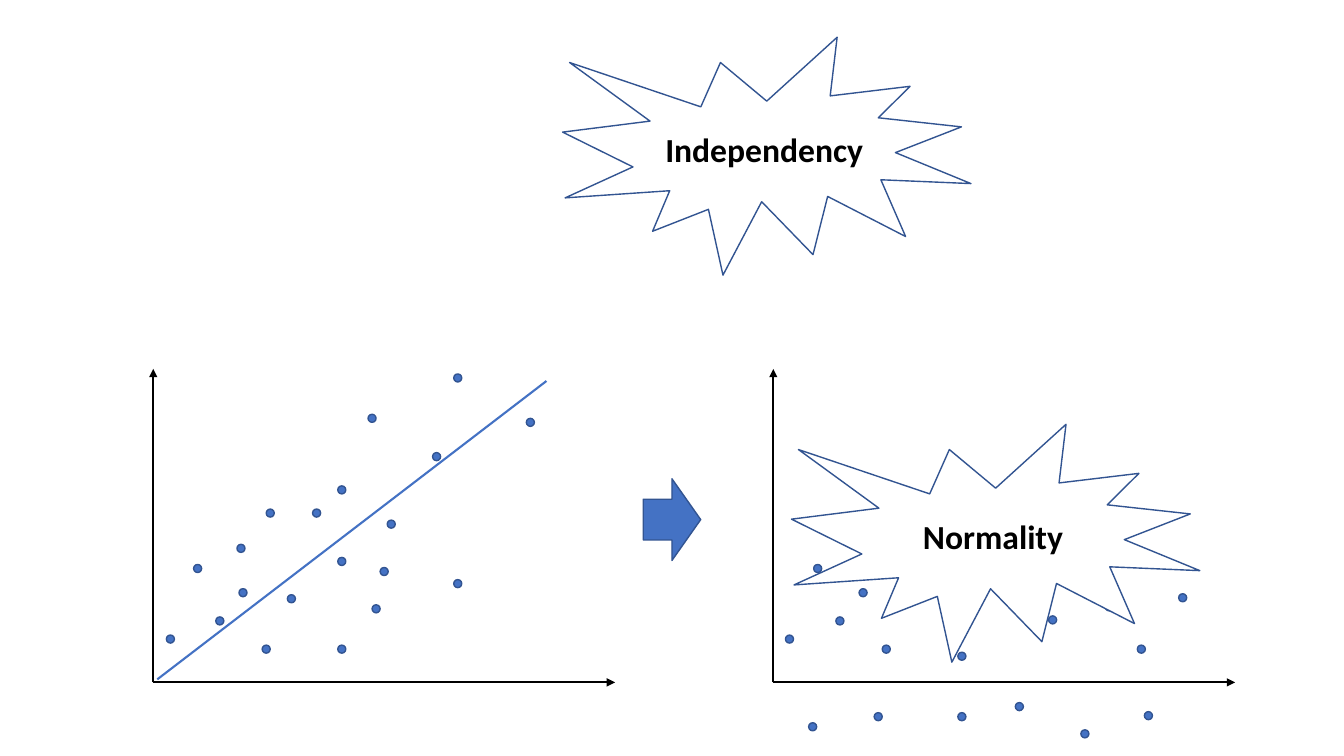
from dataclasses import dataclass

from lxml import etree
from pptx import Presentation
from pptx.dml.color import RGBColor
from pptx.enum import shapes, text
from pptx.oxml import ns
from pptx.util import Inches, Pt


@dataclass(frozen=True)
class Theme:
    blue: str = "4472C4"
    outline: str = "325491"
    black: str = "000000"
    white: str = "FFFFFF"
    font: str = "Calibri"
    label_size: int = 24
    line_width: float = 1.5
    outline_width: float = 1


THEME = Theme()
SHAPE = shapes.MSO_SHAPE
DOT_SIZE = 0.08
AXIS_WIDTH, AXIS_HEIGHT = 4.58, 3.11
AXIS_BASE = 6.77

# Left and top of each dot, in inches
SCATTER_DOTS = [
    (4.5, 3.71), (5.22, 4.15), (3.65, 4.11), (2.37, 5.84), (2.64, 5.05),
    (2.35, 5.4), (2.14, 6.12), (3.35, 5.53), (2.85, 5.9), (3.69, 6),
    (3.1, 5.05), (3.35, 6.4), (3.77, 5.63), (2.6, 6.4), (1.92, 5.6),
    (3.84, 5.16), (3.35, 4.82), (4.5, 5.75), (1.65, 6.3), (4.29, 4.49),
]
RESIDUAL_DOTS = [
    (10.03, 5.6), (11.35, 7.06), (9.5, 6.47), (8.52, 5.84), (8.79, 5.05),
    (8.67, 7.07), (8.29, 6.12), (9.5, 5.53), (9, 5.9), (10.4, 6.11),
    (11.28, 6.4), (9.5, 7.07), (10.07, 6.97), (8.75, 6.4), (8.07, 5.6),
    (10.96, 5.98), (8.02, 7.17), (10.72, 7.24), (7.79, 6.3), (11.69, 5.89),
]


def rgb(color):
    return RGBColor.from_string(color)


def add_line(s, start, end, color, arrow=False):
    line = s.shapes.add_connector(
        shapes.MSO_CONNECTOR.STRAIGHT, *map(Inches, (*start, *end)))
    line.line.color.rgb = rgb(color)
    line.line.width = Pt(THEME.line_width)
    if arrow:
        etree.SubElement(line.line._get_or_add_ln(), ns.qn("a:tailEnd"),
                         type="triangle")
    etree.SubElement(line._element.spPr, ns.qn("a:effectLst"))


def add_outlined(s, kind, left, top, width, height, fill=THEME.blue):
    sp = s.shapes.add_shape(kind, *map(Inches, (left, top, width, height)))
    sp.shadow.inherit = False
    sp.fill.solid()
    sp.fill.fore_color.rgb = rgb(fill)
    sp.line.color.rgb = rgb(THEME.outline)
    sp.line.width = Pt(THEME.outline_width)
    return sp


def write_text(sp, words, *, size, color, bold=False,
               align=text.PP_ALIGN.CENTER, anchor=text.MSO_ANCHOR.MIDDLE):
    tf = sp.text_frame
    tf.word_wrap = True
    tf.vertical_anchor = anchor
    p = tf.paragraphs[0]
    p.alignment = align
    r = p.add_run()
    r.text = words
    r.font.name = THEME.font
    r.font.size = Pt(size)
    r.font.bold = bold
    r.font.color.rgb = rgb(color)


def add_axes(s, left):
    origin = (left, AXIS_BASE)
    for end in ((left + AXIS_WIDTH, AXIS_BASE),
                (left, AXIS_BASE - AXIS_HEIGHT)):
        add_line(s, origin, end, THEME.black, arrow=True)


def add_dots(s, dots):
    for left, top in dots:
        add_outlined(s, SHAPE.OVAL, left, top, DOT_SIZE, DOT_SIZE)


def add_burst(s, words, left, top):
    sp = add_outlined(s, SHAPE.EXPLOSION1, left, top, 4.05, 2.36,
                      fill=THEME.white)
    write_text(sp, words, size=THEME.label_size, color=THEME.black, bold=True)


def main():
    prs = Presentation()
    prs.slide_width, prs.slide_height = Inches(13.33), Inches(7.5)
    s = prs.slides.add_slide(prs.slide_layouts[6])

    add_axes(s, 1.52)
    add_dots(s, SCATTER_DOTS)
    add_line(s, (1.56, 6.74), (5.42, 3.78), THEME.blue)
    add_burst(s, "Independency", 5.58, 0.37)

    add_outlined(s, SHAPE.RIGHT_ARROW, 6.38, 4.75, 0.57, 0.81)

    add_axes(s, 7.67)
    add_dots(s, RESIDUAL_DOTS)
    add_burst(s, "Normality", 7.85, 4.21)

    prs.save("out.pptx")


if __name__ == "__main__":
    main()
